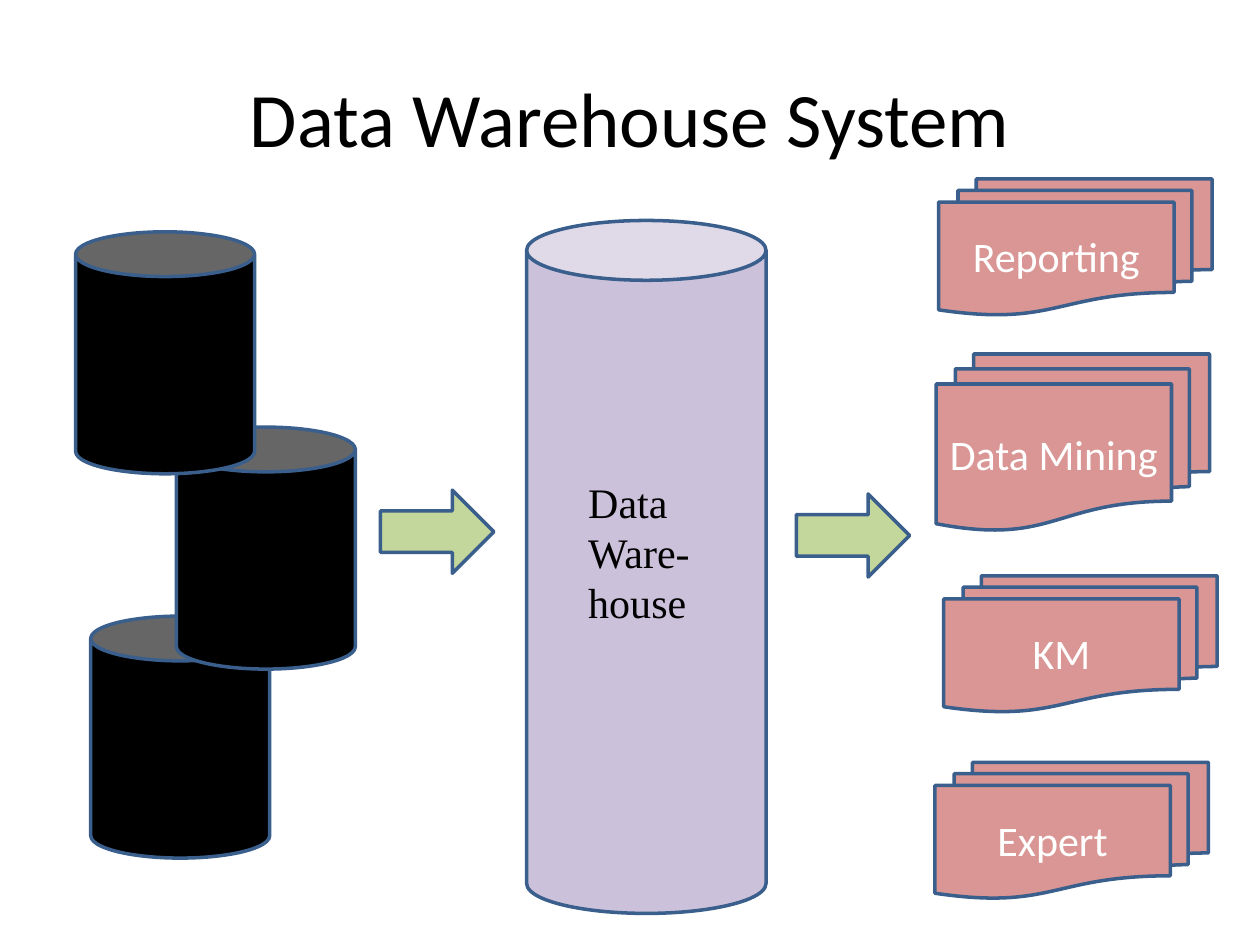
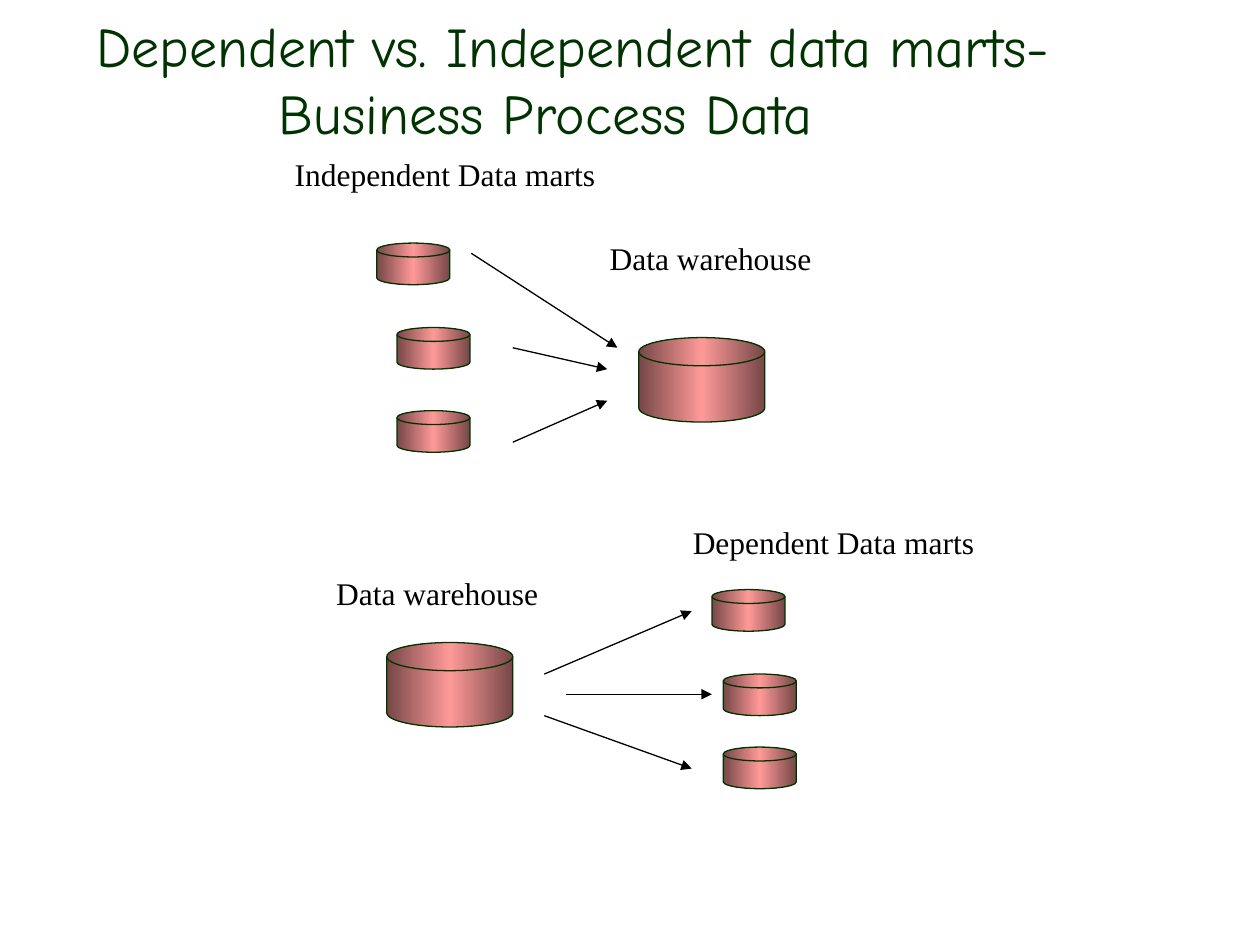
from pptx import Presentation
from pptx.dml.color import RGBColor
from pptx.enum.shapes import MSO_CONNECTOR, MSO_SHAPE
from pptx.enum.text import MSO_ANCHOR, MSO_AUTO_SIZE, PP_ALIGN
from pptx.oxml.ns import qn
from pptx.util import Inches, Pt
from lxml.etree import SubElement

BLACK = RGBColor(0x00, 0x00, 0x00)
WHITE = RGBColor(0xFF, 0xFF, 0xFF)
BLUE = RGBColor(0x3A, 0x5F, 0x8C)
LILAC = RGBColor(0xCC, 0xC1, 0xDA)
LIME = RGBColor(0xC3, 0xD6, 0x9B)
ROSE = RGBColor(0xD9, 0x96, 0x94)
GREEN = RGBColor(0x00, 0x33, 0x00)
PINK = RGBColor(0xFF, 0x99, 0x99)
WINE = RGBColor(0x76, 0x47, 0x47)
SANS, SERIF, COMIC = "Calibri", "Times New Roman", "Comic Neue"

SOURCES = [(0.72, 4.89), (1.4, 3.39), (0.6, 1.84)]
STORE = (4.18, 1.75, 1.9, 5.5)
FLOWS = [(3.02, 3.89), (6.32, 3.92)]
USES = [
    ("Reporting", 7.45, 1.42, 1.08),
    ("Data Mining", 7.43, 2.81, 1.4),
    ("KM", 7.49, 4.57, 1.08),
    ("Expert", 7.42, 6.05, 1.08),
]
MARTS = [(2.99, 1.93), (3.15, 2.6), (3.15, 3.26),
         (5.65, 4.68), (5.74, 5.35), (5.74, 5.93)]
HOUSES = [(5.07, 2.68), (3.07, 5.1)]
LABELS = [
    ("Independent Data marts", 2.24, 1.18, 2.59),
    ("Data warehouse", 4.74, 1.85, 1.81),
    ("Dependent Data marts", 5.4, 4.1, 2.44),
    ("Data warehouse", 2.57, 4.51, 1.81),
]
ARROWS = [
    (3.74, 2.01, 4.9, 2.76), (4.07, 2.76, 4.82, 2.93), (4.07, 3.51, 4.82, 3.18),
    (4.32, 5.35, 5.49, 4.85), (4.49, 5.51, 5.65, 5.51), (4.32, 5.68, 5.49, 6.1),
]


def style(frame, size, font, color, align=None):
    for para in frame.paragraphs:
        para.alignment = align
        for run in para.runs:
            run.font.size = Pt(size)
            run.font.name = font
            run.font.color.rgb = color


def add_slide(deck, text, box, size, font, color):
    slide = deck.slides.add_slide(deck.slide_layouts[5])
    title = slide.shapes.title
    title.left, title.top, title.width, title.height = map(Inches, box)
    frame = title.text_frame
    frame.text = text
    frame.vertical_anchor = MSO_ANCHOR.MIDDLE
    frame.auto_size = MSO_AUTO_SIZE.NONE
    style(frame, size, font, color, PP_ALIGN.CENTER)
    return slide


def add_shape(slide, kind, box, fill, line=BLUE, width=2):
    shape = slide.shapes.add_shape(kind, *map(Inches, box))
    shape.shadow.inherit = False
    if fill:
        shape.fill.solid()
        shape.fill.fore_color.rgb = fill
    shape.line.color.rgb = line
    shape.line.width = Pt(width)
    return shape


def add_disk(slide, box):
    disk = add_shape(slide, MSO_SHAPE.FLOWCHART_MAGNETIC_DISK, box, None, GREEN, 0.75)
    disk.fill.gradient()
    disk.fill.gradient_angle = 0
    stops = disk.element.spPr.find(qn("a:gradFill")).find(qn("a:gsLst"))
    for stop in list(stops):
        stops.remove(stop)
    for pos, color in ((0, WINE), (50, PINK), (100, WINE)):
        stop = SubElement(stops, qn("a:gs"), pos=str(pos * 1000))
        SubElement(stop, qn("a:srgbClr"), val=str(color))


def add_label(slide, text, box, size):
    frame = slide.shapes.add_textbox(*map(Inches, box)).text_frame
    frame.text = text
    frame.word_wrap = False
    frame.auto_size = MSO_AUTO_SIZE.SHAPE_TO_FIT_TEXT
    style(frame, size, SERIF, BLACK)


def add_arrow(slide, ends):
    arrow = slide.shapes.add_connector(MSO_CONNECTOR.STRAIGHT, *map(Inches, ends))
    arrow.line.color.rgb = BLACK
    arrow.line.width = Pt(0.75)
    SubElement(arrow.line._get_or_add_ln(), qn("a:tailEnd"), type="triangle")
    SubElement(arrow.element.spPr, qn("a:effectLst"))


def draw_system(deck):
    slide = add_slide(deck, "Data Warehouse System", (0.5, 0.3, 9, 1.25), 44, SANS, BLACK)
    for spot in SOURCES:
        add_shape(slide, MSO_SHAPE.CAN, (*spot, 1.42, 1.92), BLACK)
    add_shape(slide, MSO_SHAPE.CAN, STORE, LILAC)
    add_label(slide, "Data\nWare-\nhouse", (4.57, 3.73, 1.12, 1.31), 24)
    for spot in FLOWS:
        add_shape(slide, MSO_SHAPE.RIGHT_ARROW, (*spot, 0.9, 0.66), LIME)
    for text, left, top, height in USES:
        box = (left, top, 2.17, height)
        frame = add_shape(slide, MSO_SHAPE.FLOWCHART_MULTIDOCUMENT, box, ROSE).text_frame
        frame.text = text
        frame.vertical_anchor = MSO_ANCHOR.MIDDLE
        style(frame, 24, SANS, WHITE, PP_ALIGN.CENTER)


def draw_marts(deck):
    text = "Dependent vs. Independent data marts-Business Process Data"
    slide = add_slide(deck, text, (-0.25, 0, 9.17, 1.25), 32, COMIC, GREEN)
    props = slide.shapes.title.text_frame.paragraphs[0]._p.get_or_add_pPr()
    props.set("marL", "0")
    props.set("indent", str(Inches(0.43)))
    for spot in MARTS:
        add_disk(slide, (*spot, 0.58, 0.33))
    for spot in HOUSES:
        add_disk(slide, (*spot, 1, 0.67))
    for text, left, top, width in LABELS:
        add_label(slide, text, (left, top, width, 0.4), 18)
    for ends in ARROWS:
        add_arrow(slide, ends)


def main():
    deck = Presentation()
    deck.slide_width, deck.slide_height = Inches(10), Inches(7.5)
    draw_system(deck)
    draw_marts(deck)
    deck.save("out.pptx")


if __name__ == "__main__":
    main()
